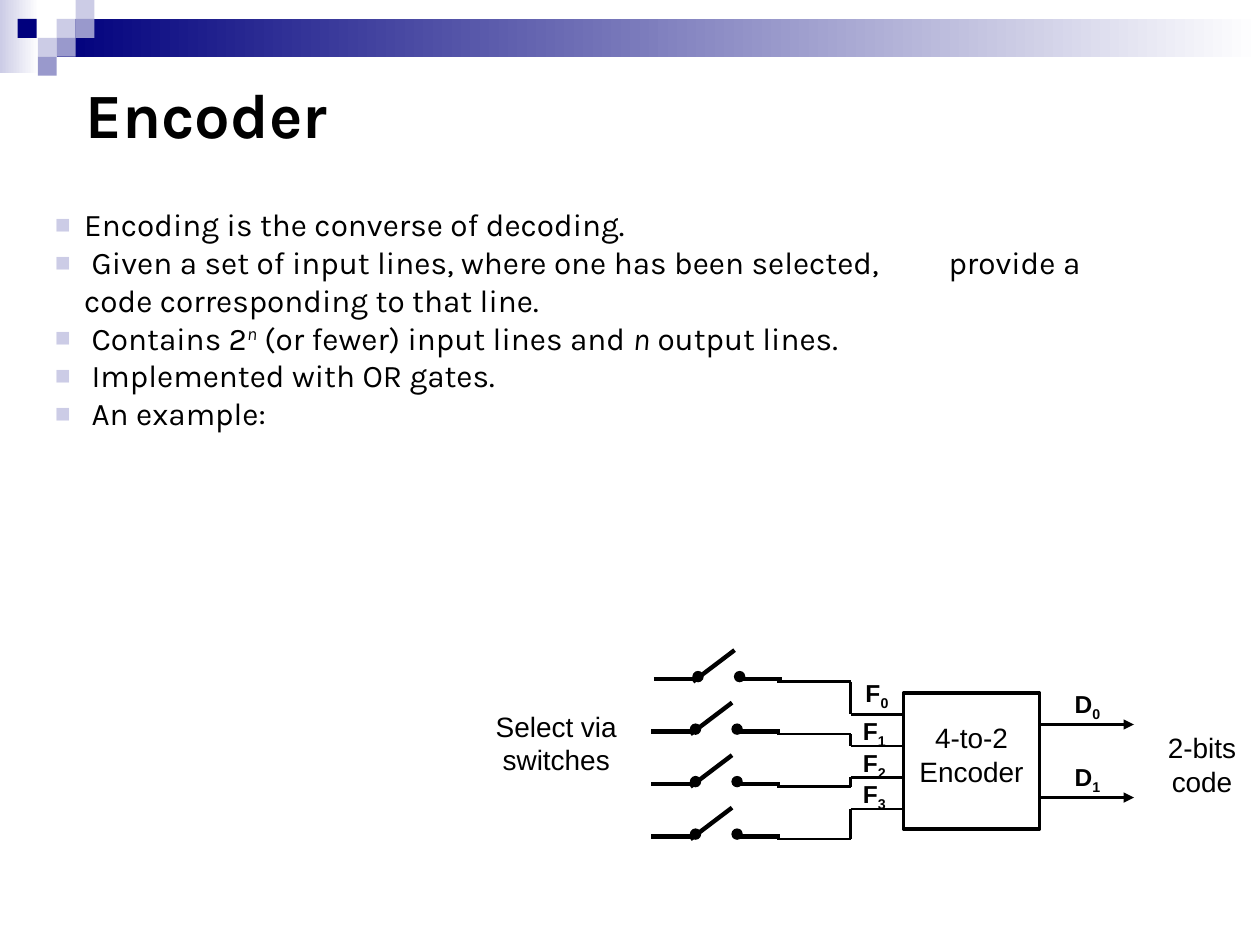
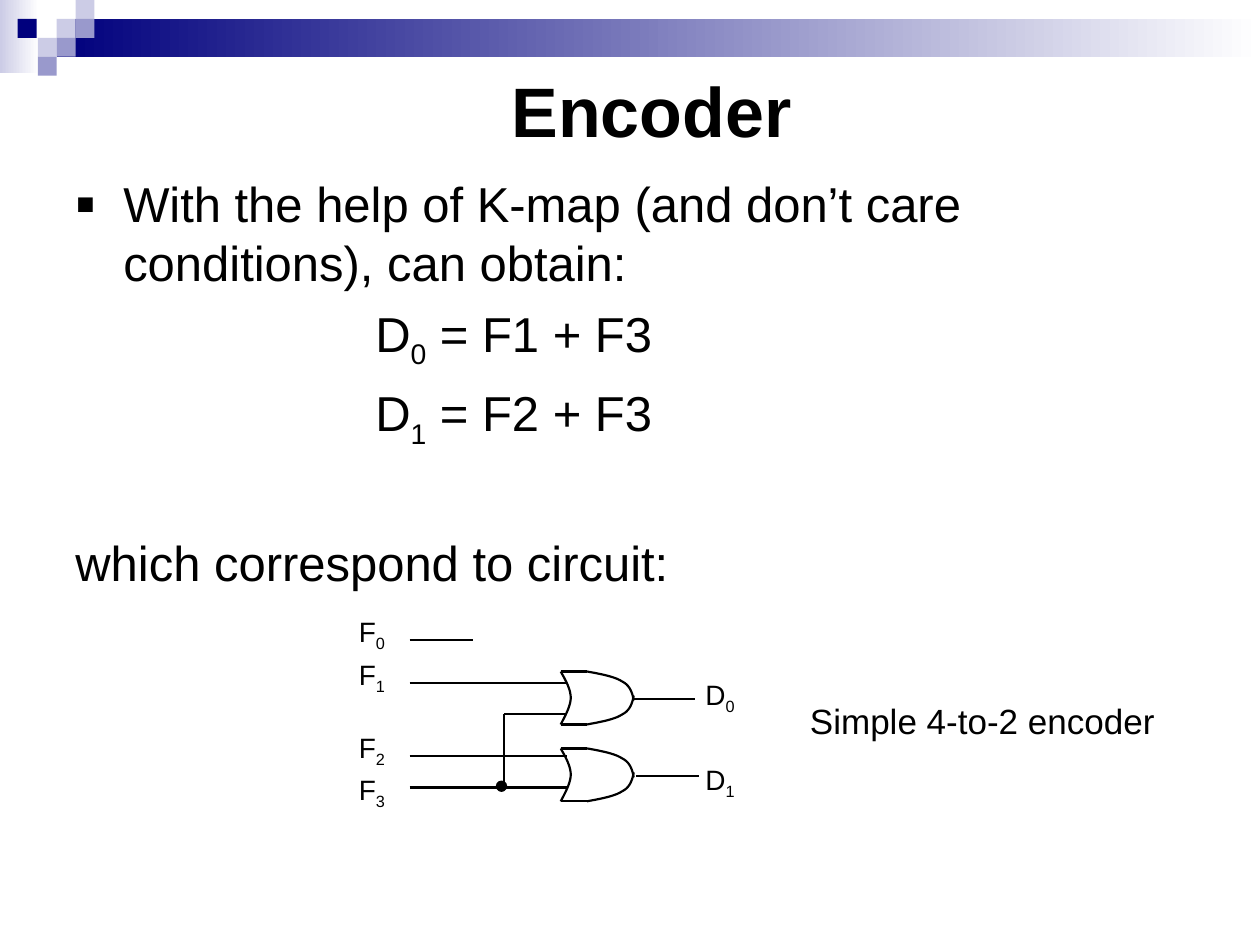
from dataclasses import dataclass
from typing import NamedTuple

from lxml.etree import SubElement
from pptx import Presentation
from pptx.dml.color import RGBColor
from pptx.enum.shapes import MSO_CONNECTOR as Connector, MSO_SHAPE as Preset
from pptx.enum.text import MSO_ANCHOR as Anchor, PP_ALIGN as Align
from pptx.oxml.ns import qn
from pptx.util import Inches, Pt


@dataclass(frozen=True)
class Theme:
    ink: str = "000000"
    navy: str = "00007D"
    violet: str = "9999CC"
    lavender: str = "CCCCE6"
    white: str = "FFFFFF"
    plain_font: str = "Arial"
    karla_font: str = "Karla"
    karla_title: float = 36
    plain_title: float = 40
    karla_body: float = 18
    plain_body: float = 28
    caption: float = 20
    label: float = 16
    pin: float = 14
    switch_line: float = 2.5
    box_line: float = 2
    wire_line: float = 1.5
    gate_line: float = 1.25
    dot_line: float = 0.75


THEME = Theme()


class Point(NamedTuple):
    x: float
    y: float


class Box(NamedTuple):
    left: float
    top: float
    width: float
    height: float


@dataclass(frozen=True)
class Style:
    size: float
    font: str = THEME.plain_font
    bold: bool = False
    align: Align = Align.LEFT
    anchor: Anchor = Anchor.TOP
    wrap: bool = True


@dataclass(frozen=True)
class Run:
    text: str
    baseline: int = 0
    italic: bool = False


@dataclass(frozen=True)
class Bullet:
    color: str
    percent: int


@dataclass(frozen=True)
class Line:
    runs: tuple[Run, ...]
    margin: float = 0
    indent: float = 0
    before: float = 0
    bullet: Bullet | None = None
    tab: float = 0


def rgb(color: str) -> RGBColor:
    return RGBColor.from_string(color)


def plain(text: str, **layout) -> Line:
    return Line((Run(text),), **layout)


def indexed(letter: str, index: int, rest: str = "", **layout) -> Line:
    runs = (Run(letter), Run(str(index), baseline=-25))
    return Line(runs + ((Run(rest),) if rest else ()), **layout)


# Drawing helpers
def format_paragraph(paragraph, line: Line) -> None:
    properties = paragraph._p.get_or_add_pPr()
    properties.set("marL", str(Inches(line.margin)))
    properties.set("indent", str(Inches(line.indent)))
    if line.before:
        paragraph.space_before = Pt(line.before)
    if line.bullet:
        color = SubElement(properties, qn("a:buClr"))
        SubElement(color, qn("a:srgbClr"), val=line.bullet.color)
        SubElement(properties, qn("a:buSzPct"), val=str(line.bullet.percent * 1000))
        SubElement(properties, qn("a:buFont"), typeface=THEME.plain_font)
        SubElement(properties, qn("a:buChar"), char="▪")
    else:
        SubElement(properties, qn("a:buNone"))
    if line.tab:
        tabs = SubElement(properties, qn("a:tabLst"))
        SubElement(tabs, qn("a:tab"), pos=str(Inches(line.tab)), algn="l")


def add_text(slide, box: Box, style: Style, *lines: Line) -> None:
    frame = slide.shapes.add_textbox(*map(Inches, box)).text_frame
    frame.word_wrap = style.wrap
    frame.vertical_anchor = style.anchor
    for number, line in enumerate(lines):
        paragraph = frame.add_paragraph() if number else frame.paragraphs[0]
        format_paragraph(paragraph, line)
        paragraph.alignment = style.align
        font = paragraph.font
        font.name, font.size, font.bold = style.font, Pt(style.size), style.bold
        font.color.rgb = rgb(THEME.ink)
        for part in line.runs:
            run = paragraph.add_run()
            run.text = part.text
            if part.italic:
                run.font.italic = True
            if part.baseline:
                run._r.get_or_add_rPr().set("baseline", str(part.baseline * 1000))


def add_preset(slide, preset: Preset, box: Box, fill: str | None = None,
               fade_to: str | None = None, line_width: float = 0) -> None:
    shape = slide.shapes.add_shape(preset, *map(Inches, box))
    shape.shadow.inherit = False
    if fill and fade_to:
        shape.fill.gradient()
        shape.fill.gradient_angle = 0
        for stop, color in zip(shape.fill.gradient_stops, (fill, fade_to)):
            stop.color.rgb = rgb(color)
    elif fill:
        shape.fill.solid()
        shape.fill.fore_color.rgb = rgb(fill)
    else:
        shape.fill.background()
    if line_width:
        shape.line.color.rgb = rgb(THEME.ink)
        shape.line.width = Pt(line_width)
    else:
        shape.line.fill.background()


def add_dot(slide, left: float, top: float) -> None:
    add_preset(slide, Preset.OVAL, Box(left, top, 0.08, 0.08), THEME.ink,
               line_width=THEME.dot_line)


def add_wire(slide, width: float, *points: tuple[float, float], arrow: bool = False) -> None:
    for start, end in zip(points, points[1:]):
        wire = slide.shapes.add_connector(Connector.STRAIGHT, *map(Inches, (*start, *end)))
        wire.line.color.rgb = rgb(THEME.ink)
        wire.line.width = Pt(width)
        if arrow:
            SubElement(wire.line._get_or_add_ln(), qn("a:tailEnd"), type="triangle")
        SubElement(wire._element.spPr, qn("a:effectLst"))


def bezier(start: Point, first: Point, second: Point, end: Point, steps: int = 10) -> list[Point]:
    def blend(a: float, b: float, c: float, d: float, t: float) -> float:
        u = 1 - t
        return u**3 * a + 3 * u * u * t * b + 3 * u * t * t * c + t**3 * d

    corners = list(zip(start, first, second, end))
    return [Point(*(blend(*axis, step / steps) for axis in corners))
            for step in range(steps + 1)]


def add_curve(slide, controls: list[Point]) -> None:
    """Draw joined cubic pieces: a start, then three controls per piece."""
    points = [(Inches(point.x), Inches(point.y)) for first in range(0, len(controls) - 1, 3)
              for point in bezier(*controls[first:first + 4])]
    builder = slide.shapes.build_freeform(*points[0])
    builder.add_line_segments(points[1:], close=False)
    curve = builder.convert_to_shape()
    curve.shadow.inherit = False
    curve.fill.background()
    curve.line.color.rgb = rgb(THEME.ink)
    curve.line.width = Pt(THEME.gate_line)


# Shared slide frame
TILE = 0.15
TILES = (
    (0.45, 0.15, THEME.lavender), (0.6, 0, THEME.lavender), (0.6, 0.15, THEME.violet),
    (0.3, 0.3, THEME.lavender), (0.14, 0.15, THEME.navy), (0.45, 0.3, THEME.violet),
    (0.3, 0.45, THEME.violet),
)


def add_framed_slide(presentation, title: str, title_left: float, style: Style):
    slide = presentation.slides.add_slide(presentation.slide_layouts[6])
    add_preset(slide, Preset.RECTANGLE, Box(0, 0, 0.31, 0.58), THEME.lavender, THEME.white)
    add_preset(slide, Preset.RECTANGLE, Box(0.45, 0.15, 9.55, 0.3), THEME.navy, THEME.white)
    for left, top, color in TILES:
        add_preset(slide, Preset.RECTANGLE, Box(left, top, TILE, TILE), color)
    add_text(slide, Box(title_left, 0, 8.5, 1.25), style, plain(title))
    return slide


# Slide 1: what an encoder does
def add_switch(slide, left: float, top: float) -> None:
    lead = top + 0.06
    add_dot(slide, left, top)
    add_dot(slide, left + 0.33, top)
    for start, end in (((left + 0.33, top - 0.17), (left, top + 0.08)),
                       ((left - 0.31, lead), (left + 0.02, lead)),
                       ((left + 0.38, lead), (left + 0.71, lead))):
        add_wire(slide, THEME.switch_line, start, end)


def add_encoder_slide(presentation) -> None:
    slide = add_framed_slide(presentation, "Encoder", 0.58, Style(
        THEME.karla_title, THEME.karla_font, bold=True, anchor=Anchor.BOTTOM))
    layout = dict(margin=0.24, indent=-0.24, bullet=Bullet(THEME.lavender, 161))
    add_text(
        slide, Box(0.33, 1.58, 8.92, 2.83), Style(THEME.karla_body, THEME.karla_font),
        plain("Encoding is the converse of decoding.", **layout),
        plain(" Given a set of input lines, where one has been selected,\tprovide a code "
              "corresponding to that line.", tab=7.1, **layout),
        Line((Run(" Contains 2"), Run("n", baseline=30, italic=True),
              Run(" (or fewer) input lines and "), Run("n", italic=True),
              Run(" output lines.")), **layout),
        plain(" Implemented with OR gates.", **layout),
        plain(" An example:", **layout),
    )

    # Encoder block and captions
    caption = Style(THEME.label, align=Align.CENTER)
    add_preset(slide, Preset.RECTANGLE, Box(7.17, 5.5, 1.08, 1.08), line_width=THEME.box_line)
    for text, box in (("4-to-2 Encoder", Box(7.17, 5.67, 1.08, 0.64)),
                      ("Select via switches", Box(3.83, 5.58, 1.17, 0.64)),
                      ("2-bits code", Box(9.08, 5.75, 0.92, 0.64))):
        add_text(slide, box, caption, plain(text))

    # Switches wired to the inputs
    pin = Style(THEME.pin, bold=True, align=Align.CENTER, wrap=False)
    pin_boxes = ((5.33, 0.42), (5.63, 0.38), (5.89, 0.38), (6.13, 0.38))
    for index, (label_top, label_width) in enumerate(pin_boxes):
        switch_top = 5.33 + index * 1.25 / 3
        wire_y, input_y = switch_top + 0.08, 5.67 + index * 0.25
        add_switch(slide, 5.48 if index else 5.5, switch_top)
        add_wire(slide, THEME.wire_line, (6.17, wire_y), (6.75, wire_y),
                 (6.75, input_y), (7.17, input_y))
        add_text(slide, Box(6.75, label_top, label_width, 0.37), pin, indexed("F", index))

    # Outputs
    for index, y in enumerate((5.75, 6.33)):
        add_wire(slide, THEME.wire_line, (8.25, y), (9, y), arrow=True)
        add_text(slide, Box(8.42, y - 0.33, 0.42, 0.37), pin, indexed("D", index))


# Slide 2: equations and circuit
def add_or_gate(slide, left: float, top: float) -> None:
    height, shoulder = 0.42, 0.21
    back = ((0, 0), (0.04, 0.07), (0.08, 0.14), (0.08, 0.21),
            (0.08, 0.28), (0.02, 0.38), (0, height))
    upper = ((0.21, 0), (0.32, 0.02), (0.43, 0.04), (0.49, 0.08),
             (0.55, 0.11), (0.57, 0.17), (0.58, 0.23))
    lower = tuple((x, height - y) for x, y in upper)
    for outline in (back, upper, lower):
        add_curve(slide, [Point(left + x, top + y) for x, y in outline])
    for y in (top, top + height):
        add_wire(slide, THEME.gate_line, (left, y), (left + shoulder, y))


def add_circuit_slide(presentation) -> None:
    slide = add_framed_slide(presentation, "Encoder", 0.92, Style(
        THEME.plain_title, bold=True, align=Align.CENTER, anchor=Anchor.BOTTOM))
    add_text(
        slide, Box(0.5, 1.33, 9.25, 2.25), Style(THEME.plain_body),
        plain("With the help of K-map (and don’t care conditions), can obtain:",
              margin=0.38, indent=-0.38, bullet=Bullet(THEME.ink, 120)),
        indexed("D", 0, " = F1 + F3", margin=2.38, before=7),
        indexed("D", 1, " = F2 + F3", margin=2.38, before=7),
        plain("which correspond to circuit:", before=47.5),
    )

    # Inputs
    label = Style(THEME.label)
    inputs = ((4.83, 5.08, 3.75), (5.17, 5.42, 4.5), (5.75, 6, 4.5), (6.08, 6.25, 4.5))
    for index, (label_top, y, end) in enumerate(inputs):
        add_text(slide, Box(2.75, label_top, 0.48, 0.41), label, indexed("F", index))
        add_wire(slide, THEME.gate_line, (3.25, y), (end, y))
    add_wire(slide, THEME.gate_line, (4.5, 5.67), (4, 5.67), (4, 6.25))
    add_dot(slide, 3.94, 6.2)

    # Gates and outputs
    outputs = ((5.33, 5.33, Point(5.02, 5.55)), (5.94, 6, Point(5.05, 6.16)))
    for index, (gate_top, label_top, start) in enumerate(outputs):
        add_or_gate(slide, 4.45, gate_top)
        add_wire(slide, THEME.gate_line, start, (start.x + 0.5, start.y))
        add_text(slide, Box(5.5, label_top, 0.48, 0.41), label, indexed("D", index))
    add_text(slide, Box(6.33, 5.5, 3, 0.44), Style(THEME.caption),
             plain("Simple 4-to-2 encoder"))


def main() -> None:
    presentation = Presentation()
    presentation.slide_width, presentation.slide_height = Inches(10), Inches(7.5)
    add_encoder_slide(presentation)
    add_circuit_slide(presentation)
    presentation.save("out.pptx")


if __name__ == "__main__":
    main()
